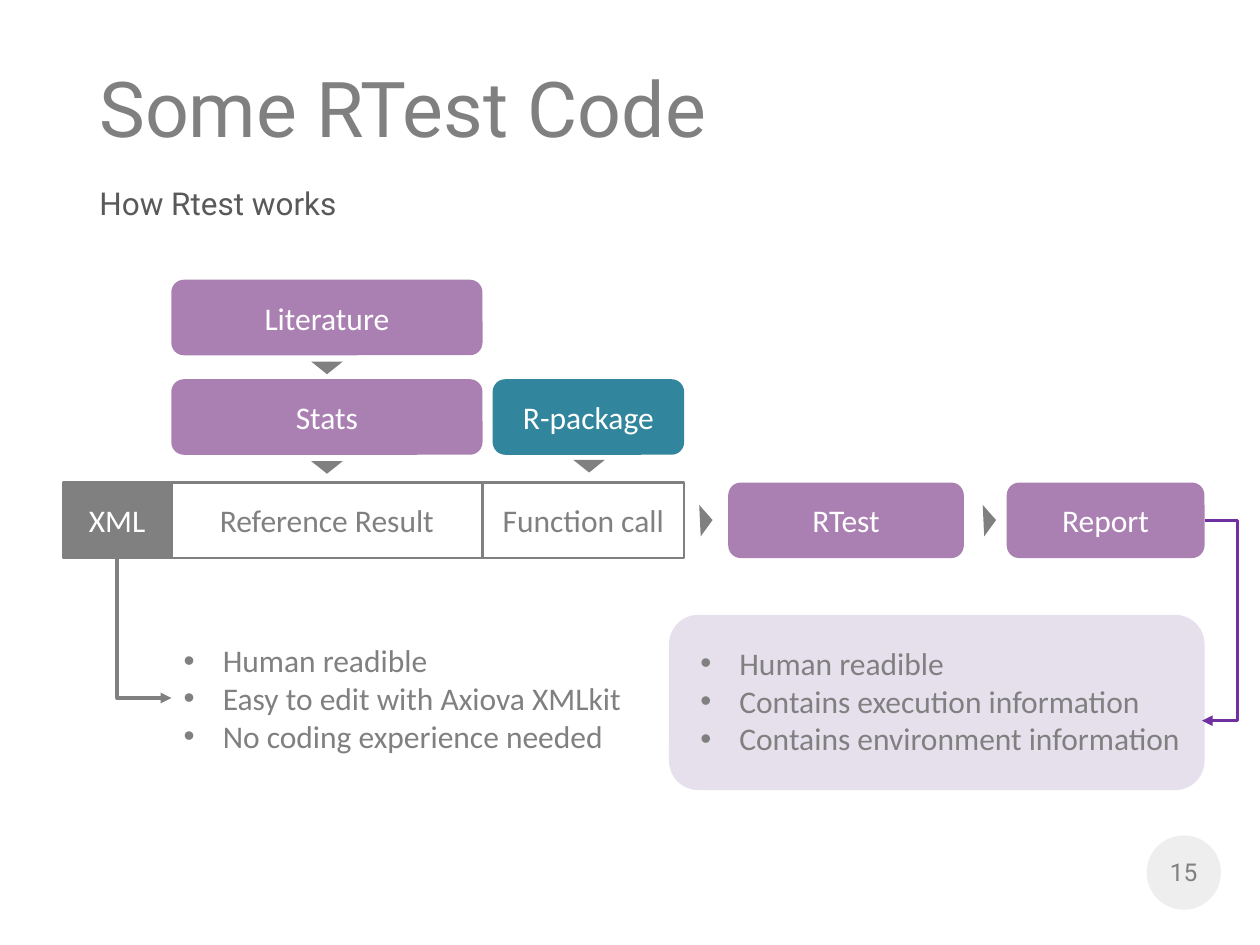
"""Build the slide that shows how RTest turns XML test cases into a report."""
import pptx
import pptx.dml.color
import pptx.enum.shapes
import pptx.enum.text
import pptx.oxml.ns
import pptx.util
from lxml import etree

Inches, Pt = pptx.util.Inches, pptx.util.Pt
RGBColor = pptx.dml.color.RGBColor
MSO = pptx.enum.shapes.MSO_SHAPE
ELBOW = pptx.enum.shapes.MSO_CONNECTOR.ELBOW
ALIGN, ANCHOR = pptx.enum.text.PP_ALIGN, pptx.enum.text.MSO_ANCHOR
qn = pptx.oxml.ns.qn

GRAY = RGBColor(0x80, 0x80, 0x80)
DARK = RGBColor(0x59, 0x59, 0x59)
WHITE = RGBColor(0xFF, 0xFF, 0xFF)
PALE = RGBColor(0xEE, 0xEE, 0xEE)
PURPLE = RGBColor(0xAA, 0x80, 0xB2)
LILAC = RGBColor(0xE6, 0xE0, 0xEC)
VIOLET = RGBColor(0x70, 0x30, 0xA0)
TEAL = RGBColor(0x31, 0x85, 0x9C)

ROW_Y, BOX_H = 3.83, 0.6
CELLS = [
    ("Reference Result", 1.36, 2.47, WHITE, GRAY),
    ("Function call", 3.83, 1.6, WHITE, GRAY),
    ("XML", 0.5, 0.86, GRAY, WHITE),
]
STEPS = [
    ("Report", 7.99, ROW_Y, 1.57, PURPLE),
    ("RTest", 5.78, ROW_Y, 1.87, PURPLE),
    ("Stats", 1.36, 3.01, 2.47, PURPLE),
    ("Literature", 1.36, 2.22, 2.47, PURPLE),
    ("R-package", 3.91, 3.01, 1.52, TEAL),
]
POINTERS = [
    (2.47, 2.87, 180), (2.47, 3.66, 180), (4.55, 3.65, 180),
    (5.48, 4.08, 87.3), (7.73, 4.08, 87.3),
]
XML_NOTES = ["Human readible", "Easy to edit with Axiova XMLkit",
             "No coding experience needed"]
REPORT_NOTES = ["Human readible", "Contains execution information",
                "Contains environment information"]

prs = pptx.Presentation()
prs.slide_width, prs.slide_height = Inches(10), Inches(7.5)
s = prs.slides.add_slide(prs.slide_layouts[6])


def add_text(sp, *lines, size=18, font="Calibri", color=GRAY, align=ALIGN.LEFT,
             anchor=ANCHOR.TOP, top=0.05, bullet=False):
    tf = sp.text_frame
    tf.word_wrap = True
    tf.vertical_anchor = anchor
    tf.margin_top = Inches(top)
    for i, line in enumerate(lines):
        p = tf.paragraphs[0] if i == 0 else tf.add_paragraph()
        p.alignment = align
        if bullet:
            pPr = p._p.get_or_add_pPr()
            pPr.set("marL", str(Inches(0.31)))
            pPr.set("indent", str(-Inches(0.31)))
            etree.SubElement(pPr, qn("a:buFont")).set("typeface", "Arial")
            etree.SubElement(pPr, qn("a:buChar")).set("char", "•")
        r = p.add_run()
        r.text = line
        r.font.size, r.font.name = Pt(size), font
        r.font.color.rgb = color


def add_box(shape, at, fill, line=None):
    sp = s.shapes.add_shape(shape, *map(Inches, at))
    sp.shadow.inherit = False
    sp.fill.solid()
    sp.fill.fore_color.rgb = fill
    if line is None:
        sp.line.fill.background()
    else:
        sp.line.color.rgb = line
        sp.line.width = Pt(1.5)
    return sp


def add_textbox(*at):
    return s.shapes.add_textbox(*map(Inches, at))


def add_elbow(start, end, color):
    cn = s.shapes.add_connector(ELBOW, *map(Inches, start + end))
    cn.line.color.rgb = color
    cn.line.width = Pt(2)
    etree.SubElement(cn.line._get_or_add_ln(), qn("a:tailEnd")).set("type", "triangle")
    spPr = cn._element.spPr
    etree.SubElement(spPr, qn("a:effectLst"))
    return spPr


add_box(MSO.OVAL, (9.1, 6.63, 0.59, 0.59), PALE)
add_text(add_textbox(0.69, 0.4, 8.62, 0.9), "Some RTest Code",
         size=44, font="Roboto", anchor=ANCHOR.MIDDLE)
add_text(add_textbox(0.69, 1.3, 8.62, 0.7), "How Rtest works",
         font="Roboto", color=DARK, top=0.16)
add_text(add_textbox(9.1, 6.72, 0.59, 0.4), "15", size=14, font="Roboto",
         align=ALIGN.CENTER, anchor=ANCHOR.MIDDLE)

for label, x, w, fill, color in CELLS:
    sp = add_box(MSO.RECTANGLE, (x, ROW_Y, w, BOX_H), fill, GRAY)
    add_text(sp, label, color=color, align=ALIGN.CENTER, anchor=ANCHOR.MIDDLE)
for label, x, y, w, fill in STEPS:
    sp = add_box(MSO.ROUNDED_RECTANGLE, (x, y, w, BOX_H), fill)
    add_text(sp, label, color=WHITE, align=ALIGN.CENTER, anchor=ANCHOR.MIDDLE)
for x, y, angle in POINTERS:
    add_box(MSO.ISOSCELES_TRIANGLE, (x, y, 0.25, 0.1), GRAY).rotation = angle

add_text(add_textbox(1.36, 5.04, 4.08, 1.01), *XML_NOTES, bullet=True)
spPr = add_elbow((1.7, 4.77), (0.59, 5.2), GRAY)
spPr.find(qn("a:xfrm")).set("rot", str(270 * 60000))
spPr.find(qn("a:prstGeom")).set("prst", "bentConnector2")

add_box(MSO.ROUNDED_RECTANGLE, (5.31, 4.88, 4.25, 1.39), LILAC)
add_text(add_textbox(5.46, 5.06, 4.08, 1.31), *REPORT_NOTES, bullet=True)
start_x, end_x, bend_x = 9.56, 9.54, 9.82
spPr = add_elbow((start_x, 4.13), (end_x, 5.72), VIOLET)
bend = round((start_x - bend_x) / (start_x - end_x) * 100000)
gd = etree.SubElement(spPr.find(qn("a:prstGeom")).find(qn("a:avLst")), qn("a:gd"))
gd.set("name", "adj1")
gd.set("fmla", f"val {bend}")

prs.save("out.pptx")
